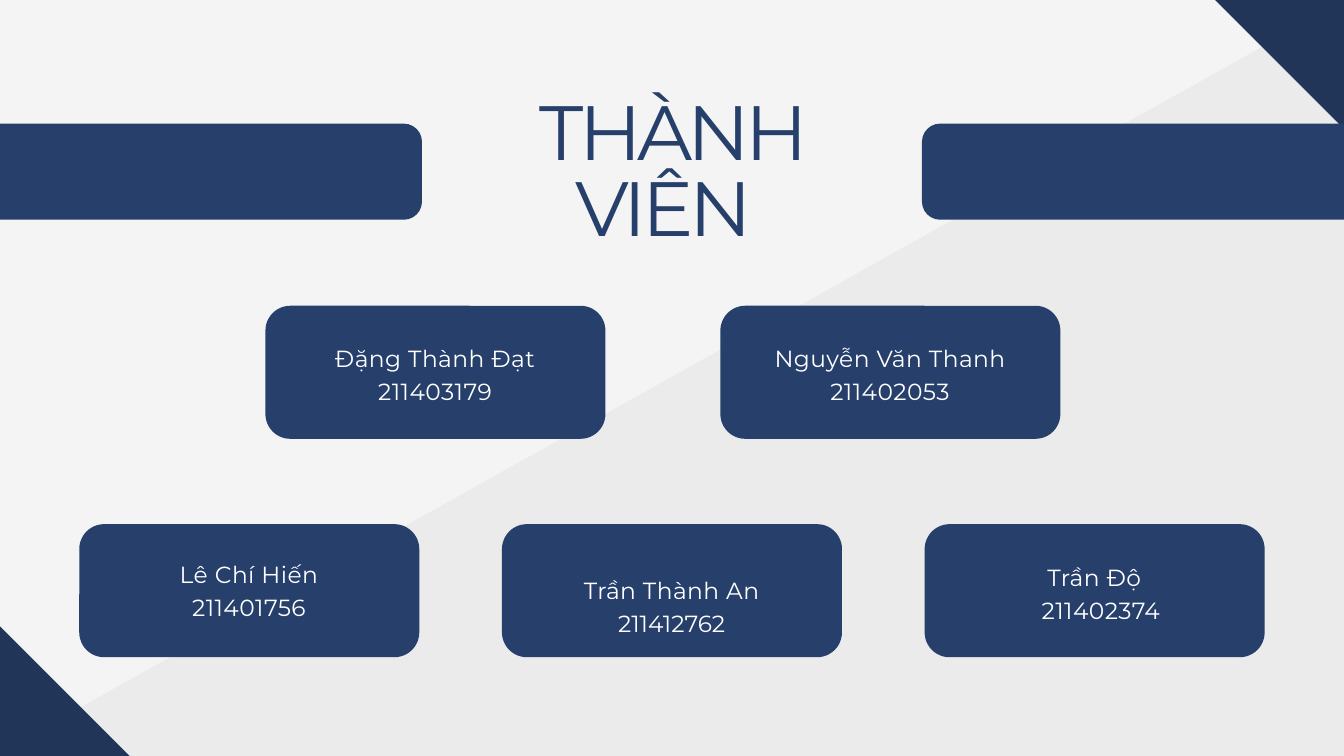
from lxml.etree import SubElement
from pptx import Presentation
from pptx.dml.color import RGBColor
from pptx.enum.shapes import MSO_SHAPE as Shape
from pptx.enum.text import MSO_ANCHOR as Anchor, MSO_AUTO_SIZE as AutoSize, PP_ALIGN as Align
from pptx.oxml.ns import qn
from pptx.util import Pt

PX = 9144  # EMU per px, 100 px to the inch
WIDTH, HEIGHT = 2000, 1125
FONT = "Montserrat"
COLORS = {"paper": "F4F4F4", "wedge": "545454", "corner": "213559",
          "navy": "263F6B", "white": "FFFFFF"}

CARD_W, CARD_H = 506, 198
NAME_W, NAME_H = 417, 93
# Each row: left of first card, top, step, then members as
# (name, number, text offset from card top, number indent and spacing in points)
ROWS = [
    (395, 455, 677, [
        ("Đặng Thành Đạt", "211403179", 50, 0, 0.5),
        ("Nguyễn Văn Thanh", "211402053", 50, 0, 0.5)]),
    (118, 780, 629, [
        ("Lê Chí Hiến", "211401756", 47, 0, 0.5),
        ("Trần Thành An", "211412762", 71, 0, 0),
        ("Trần Độ", "211402374", 51, 14, 0.5)]),
]


def px(*lengths):
    return [length * PX for length in lengths]


def add_block(page, kind, box, color, rotation=0, radius=0):
    block = page.shapes.add_shape(kind, *px(*box))
    block.shadow.inherit = False
    block.fill.solid()
    block.fill.fore_color.rgb = RGBColor.from_string(COLORS[color])
    block.line.fill.background()
    block.rotation = rotation
    if radius:
        block.adjustments[0] = radius / min(box[2:])
    return block


def prepare_frame(frame):
    frame.margin_left = frame.margin_top = frame.margin_right = frame.margin_bottom = 0
    frame.word_wrap = True
    frame.auto_size = AutoSize.NONE
    frame.vertical_anchor = Anchor.TOP


def add_line(para, text, size, leading, color, spacing):
    para.alignment = Align.CENTER
    para.line_spacing = Pt(leading)
    para.space_before = Pt(0)
    span = para.add_run()
    span.text = text
    span.font.name = FONT
    span.font.size = Pt(size)
    span.font.color.rgb = RGBColor.from_string(COLORS[color])
    span.font._element.set("spc", str(round(spacing * 100)))


def add_backdrop(page):
    page.background.fill.solid()
    page.background.fill.fore_color.rgb = RGBColor.from_string(COLORS["paper"])
    # Pale diagonal wedge
    wedge = add_block(page, Shape.RECTANGLE, (-122, 476, 2820, 1048), "wedge", 330.8)
    tint = wedge.fill._xPr.find(qn("a:solidFill"))[0]
    SubElement(tint, qn("a:alpha")).set("val", "5000")
    # Dark corners, centred on the slide's left and right edges
    width, height = 579, 272
    for left, top in ((-289, 989), (WIDTH - 289, -136)):
        add_block(page, Shape.RECTANGLE, (left, top, width, height), "corner", 45)


def add_header(page, top):
    # Bars reaching in from both sides
    width, height, inner = 903, 143, 628
    for left in (inner - width, WIDTH - inner):
        add_block(page, Shape.ROUNDED_RECTANGLE, (left, top, width, height), "navy", radius=27)
    # Title
    title = page.shapes.title
    title.left, title.top, title.width, title.height = px(675, top - 34, 649, 229)
    prepare_frame(title.text_frame)
    add_line(title.text_frame.paragraphs[0], "THÀNH VIÊN ", 82.4, 80.7, "navy", -4.8)


def add_card(page, left, top, member):
    name, number, offset, indent, spacing = member
    add_block(page, Shape.ROUNDED_RECTANGLE, (left, top, CARD_W, CARD_H), "navy", radius=37)
    inset = (CARD_W - NAME_W) // 2
    box = page.shapes.add_textbox(*px(left + inset, top + offset, NAME_W, NAME_H))
    frame = box.text_frame
    prepare_frame(frame)
    add_line(frame.paragraphs[0], name, 25, 35, "white", 0.5)
    para = frame.add_paragraph()
    add_line(para, number, 25, 35, "white", spacing)
    if indent:
        para._p.get_or_add_pPr().set("marL", str(Pt(indent)))


def main():
    deck = Presentation()
    deck.slide_width, deck.slide_height = px(WIDTH, HEIGHT)
    page = deck.slides.add_slide(deck.slide_layouts[5])
    add_backdrop(page)
    add_header(page, 184)
    for left, top, step, members in ROWS:
        for index, member in enumerate(members):
            add_card(page, left + index * step, top, member)
    deck.save("out.pptx")


if __name__ == "__main__":
    main()
